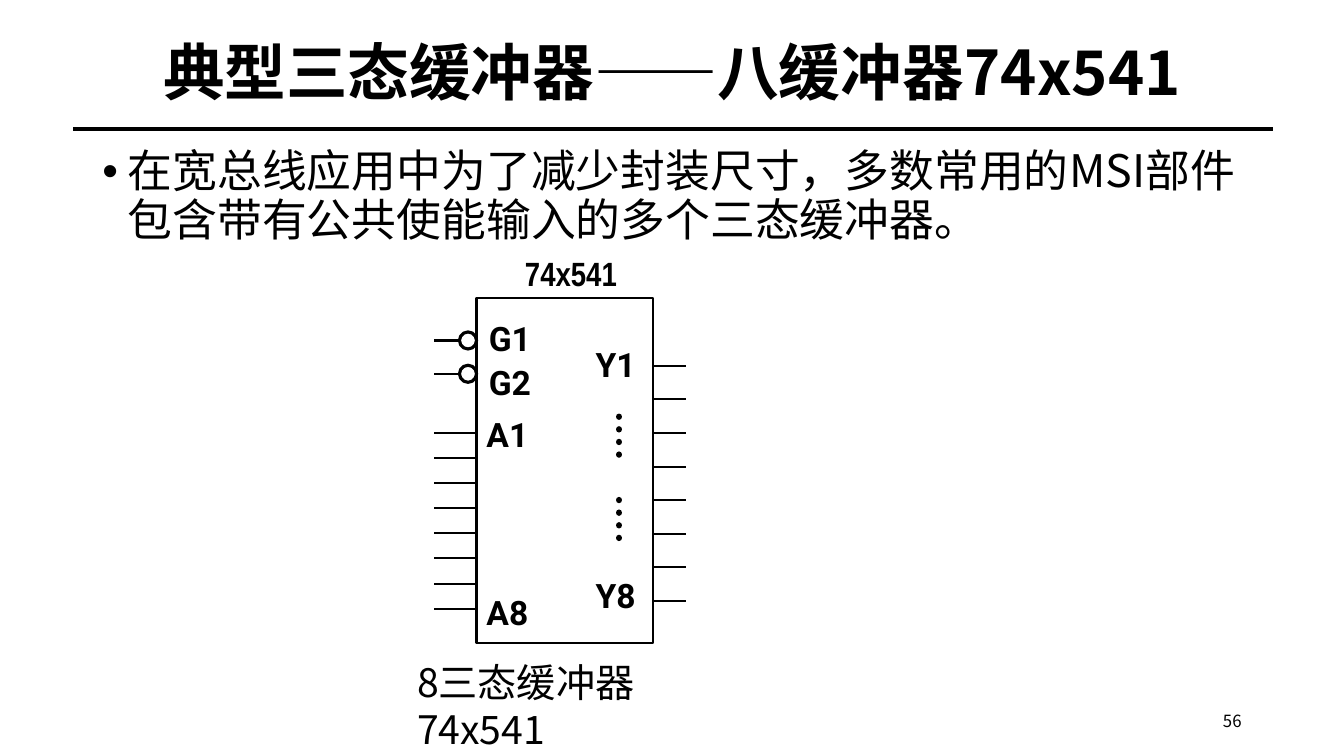
from lxml import etree
from pptx import Presentation
from pptx import util as u
from pptx.dml.color import RGBColor
from pptx.enum import dml, shapes, text
from pptx.oxml.ns import qn

CJK = "Noto Sans CJK SC"
BLACK = "000000"
CHIP_LEFT, CHIP_TOP, CHIP_WIDTH, CHIP_HEIGHT = 12.01, 7.52, 4.45, 8.69
CHIP_RIGHT = CHIP_LEFT + CHIP_WIDTH
PIN_LEFT, PIN_RIGHT = 10.95, 17.3
BUBBLE = 0.43
LABEL_HEIGHT = 1.27


def color(value):
    return RGBColor.from_string(value)


def add_bullet(paragraph, indent):
    properties = paragraph._p.get_or_add_pPr()
    properties.set("marL", str(u.Cm(indent)))
    properties.set("indent", str(-u.Cm(indent)))
    etree.SubElement(properties, qn("a:buFont"), typeface="Arial")
    etree.SubElement(properties, qn("a:buChar"), char="•")


def add_text(slide, words, left, top, width, height, *, size, font=CJK, bold=False,
             align=text.PP_ALIGN.LEFT, anchor=text.MSO_ANCHOR.TOP, spacing=None, bullet=None):
    frame = slide.shapes.add_textbox(u.Cm(left), u.Cm(top), u.Cm(width), u.Cm(height)).text_frame
    frame.word_wrap = True
    frame.vertical_anchor = anchor
    paragraph = frame.paragraphs[0]
    paragraph.alignment = align
    if spacing:
        paragraph.line_spacing = spacing
    if bullet:
        add_bullet(paragraph, bullet)
    run = paragraph.add_run()
    run.text = words
    run.font.size = u.Pt(size)
    run.font.bold = bold
    run.font.name = font
    run.font.color.rgb = color(BLACK)
    etree.SubElement(run.font._element, qn("a:ea"), typeface=font)


def add_line(slide, x1, y1, x2, y2, weight=1.5, dotted=False):
    line = slide.shapes.add_connector(
        shapes.MSO_CONNECTOR.STRAIGHT, u.Cm(x1), u.Cm(y1), u.Cm(x2), u.Cm(y2))
    line.line.width = u.Pt(weight)
    line.line.color.rgb = color(BLACK)
    if dotted:
        line.line.dash_style = dml.MSO_LINE.ROUND_DOT
        line.line._get_or_add_ln().set("cap", "rnd")
    etree.SubElement(line._element.spPr, qn("a:effectLst"))


def add_outline(slide, kind, left, top, width, height, weight):
    shape = slide.shapes.add_shape(kind, u.Cm(left), u.Cm(top), u.Cm(width), u.Cm(height))
    shape.shadow.inherit = False
    shape.fill.background()
    shape.line.color.rgb = color(BLACK)
    shape.line.width = u.Pt(weight)


def add_pins(slide, x1, x2, first, last, count):
    step = (last - first) / (count - 1)
    for index in range(count):
        y = first + index * step
        add_line(slide, x1, y, x2, y)


def add_chip(slide):
    add_outline(slide, shapes.MSO_SHAPE.RECTANGLE,
                CHIP_LEFT, CHIP_TOP, CHIP_WIDTH, CHIP_HEIGHT, 1.5)

    # Data inputs and outputs
    add_pins(slide, CHIP_LEFT, PIN_LEFT, 10.9, 15.34, 8)
    add_pins(slide, CHIP_RIGHT, PIN_RIGHT, 9.22, 15.14, 8)

    # Active-low enable inputs
    bubble_left = CHIP_LEFT - BUBBLE
    add_pins(slide, bubble_left, PIN_LEFT, 8.58, 9.42, 2)
    for y in (8.58, 9.42):
        add_outline(slide, shapes.MSO_SHAPE.OVAL,
                    bubble_left, y - BUBBLE / 2, BUBBLE, BUBBLE, 2.25)

    # Pin labels, placed by their vertical centres
    for label, left, centre in (("G1", 12.07, 8.52), ("G2", 12.07, 9.63),
                                ("A1", 12.01, 10.95), ("A8", 12.01, 15.42),
                                ("Y1", 14.76, 9.18), ("Y8", 14.76, 15.0)):
        add_text(slide, label, left, centre - LABEL_HEIGHT / 2, 1.9, LABEL_HEIGHT,
                 size=24, font="Roboto", bold=True)

    # Dots standing for the outputs between Y1 and Y8
    for top in (10.5, 12.6):
        add_line(slide, 15.6, top, 15.6, top + 1.27, 4.5, dotted=True)

    # Part name and caption
    add_text(slide, "74x541", 12.98, 6.25, 3.2, LABEL_HEIGHT,
             size=24, font="Arial Narrow", bold=True)
    add_text(slide, "8三态缓冲器74x541", 10.26, 16.46, 9.14, 1.45, size=28)


def main():
    presentation = Presentation()
    presentation.slide_width, presentation.slide_height = u.Cm(33.87), u.Cm(19.05)
    slide = presentation.slides.add_slide(presentation.slide_layouts[6])

    # Heading, rule and page number
    add_text(slide, "典型三态缓冲器——八缓冲器74x541", 2.33, 1.02, 29.21, 1.78, size=44,
             bold=True, align=text.PP_ALIGN.CENTER, anchor=text.MSO_ANCHOR.MIDDLE, spacing=0.9)
    add_line(slide, 1.85, 3.26, 32.08, 3.26, 3)
    add_text(slide, "56", 23.92, 17.66, 7.62, 1.01, size=12,
             align=text.PP_ALIGN.RIGHT, anchor=text.MSO_ANCHOR.MIDDLE)

    # Body
    add_text(slide, "在宽总线应用中为了减少封装尺寸，多数常用的MSI部件包含带有公共使能输入的多个三态缓冲器。",
             2.33, 3.63, 29.21, 13.51, size=32, spacing=0.9, bullet=0.64)

    add_chip(slide)
    presentation.save("out.pptx")


if __name__ == "__main__":
    main()
